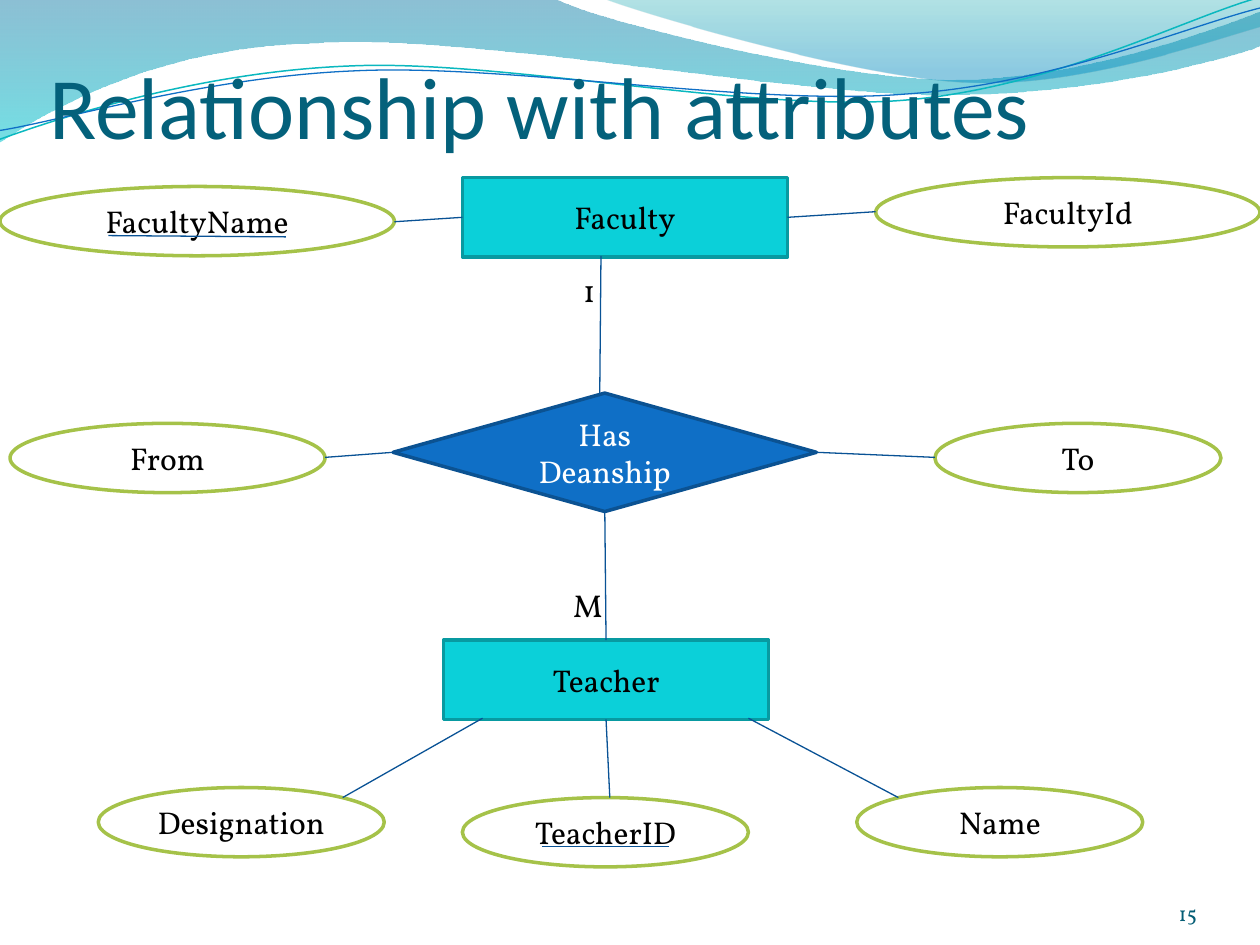
from math import cos, radians, sin

from lxml import etree
from pptx import Presentation
from pptx.dml.color import RGBColor
from pptx.enum.shapes import MSO_CONNECTOR as LINE, MSO_SHAPE as SHAPE
from pptx.enum.text import MSO_ANCHOR as ANCHOR, PP_ALIGN as ALIGN
from pptx.oxml.ns import qn
from pptx.util import Inches, Pt

HEX = {"ink": "000000", "white": "FFFFFF", "title": "04617B", "page": "045D75",
       "aqua": "0BD0D9", "teal": "089AA1", "blue": "0F6FC6", "navy": "0B5292",
       "green": "A5C249", "link": "095295", "cyan": "0AB8BF",
       "deep": "0074A1", "turq": "00C6CF", "sea": "00A1A9", "sky": "008BBF"}
RGB = {name: RGBColor.from_string(code) for name, code in HEX.items()}

deck = Presentation()
deck.slide_width, deck.slide_height = Inches(10), Inches(7.5)
slide = deck.slides.add_slide(deck.slide_layouts[6])
shapes = slide.shapes


def trace(start, steps, closed, pivot=(0, 0), tilt=0):
    """Draw a freeform; a step of 2 numbers is a line, of 6 a Bézier curve.

    The outline is turned level about the pivot, then the shape is tilted back.
    """
    c, s = cos(radians(tilt)), sin(radians(tilt))
    flat = [*start, *(num for step in steps for num in step)]
    pts = []
    for x, y in zip(flat[::2], flat[1::2]):
        dx, dy = x - pivot[0], y - pivot[1]
        pts.append((round(100 * (pivot[0] + dx * c + dy * s)),
                    round(100 * (pivot[1] - dx * s + dy * c))))
    form = shapes.build_freeform(*pts[0], scale=Inches(0.01))
    form.add_line_segments(pts[1:], close=closed)
    shape = form.convert_to_shape()
    shape.shadow.inherit = False
    shape.rotation = tilt
    lines = iter(list(shape.element.spPr.iter(qn("a:lnTo"))))
    for step in steps:
        group = [next(lines) for _ in step[::2]]
        if len(group) == 3:
            curve = etree.Element(qn("a:cubicBezTo"))
            group[0].addprevious(curve)
            for line in group:
                curve.append(line[0])
                line.getparent().remove(line)
    return shape


def write(shape, text, size=18, color="ink", font="Vollkorn", align=ALIGN.CENTER):
    para = shape.text_frame.paragraphs[0]
    para.alignment = align
    run = para.add_run()
    run.text = text
    run.font.size, run.font.name = Pt(size), font
    run.font.color.rgb = RGB[color]


# Waves along the top: start, steps, gradient stops (place, colour, opacity)
waves = [
    ((0, 0), [(4.4, -0.01), (4.76, 0.17, 6.64, 0.63, 7.58, 0.63),
              (8.53, 0.63, 9.58, 0.26, 10, 0.09), (10.01, 0.36),
              (9.83, 0.44, 8.7, 0.76, 7.46, 0.75),
              (6.22, 0.75, 3.82, 0.28, 2.57, 0.34),
              (1.29, 0.36, 0.46, 0.83, -0.01, 1.13), (0, 0)],
     [(0, "deep", 45), (1, "turq", 55)]),
    ((4.79, -0.01), [(5.09, 0.11, 6.82, 0.62, 7.69, 0.65),
                     (8.56, 0.69, 9.61, 0.32, 10, 0.21), (10, 0), (4.79, -0.01)],
     [(0, "sea", 30), (0.8, "sky", 45)]),
]
for start, steps, stops in waves:
    wave = trace(start, steps, True)
    wave.line.fill.background()
    wave.fill.gradient()
    wave.fill.gradient_angle = 270
    for stop, (place, color, _) in zip(wave.fill.gradient_stops, stops):
        stop.position, stop.color.rgb = place, RGB[color]
    tints = wave.element.spPr.find(qn("a:gradFill")).iter(qn("a:srgbClr"))
    for tint, (_, _, alpha) in zip(list(tints), stops):
        etree.SubElement(tint, qn("a:alpha")).set("val", str(alpha * 1000))

strands = [
    ((0, 1.11), [(0.48, 0.93, 1.58, 0.57, 2.77, 0.52),
                 (3.95, 0.47, 5.93, 0.89, 7.13, 0.8),
                 (8.33, 0.71, 9.38, 0.15, 9.98, -0.02)],
     (4.99, 0.58), "cyan", 0.85),
    ((0, 1.04), [(0.47, 0.96, 1.64, 0.61, 2.83, 0.56),
                 (4.03, 0.51, 5.97, 0.84, 7.17, 0.75),
                 (8.36, 0.67, 9.41, 0.21, 10, 0.06)],
     (5, 0.59), "blue", 0.75),
]
for start, steps, pivot, color, width in strands:
    strand = trace(start, steps, False, pivot, 357.3)
    strand.fill.background()
    strand.line.color.rgb, strand.line.width = RGB[color], Pt(width)

# Title and page number
notes = [
    ("Relationship with attributes", (0.39, 0.23, 9, 1.02), 0.05,
     50, "title", "Calibri", ALIGN.LEFT),
    ("15", (8.67, 6.95, 0.83, 0.4), 0, 12, "page", "Vollkorn", ALIGN.RIGHT),
]
for text, box, top, *look in notes:
    note = shapes.add_textbox(*map(Inches, box))
    frame = note.text_frame
    frame.word_wrap, frame.vertical_anchor = True, ANCHOR.BOTTOM
    frame.margin_left = frame.margin_right = frame.margin_bottom = 0
    frame.margin_top = Inches(top)
    write(note, text, *look)

# Entities, relationship and attributes
styles = {"entity": (SHAPE.RECTANGLE, "aqua", "teal", "ink"),
          "relation": (SHAPE.DIAMOND, "blue", "navy", "white"),
          "attribute": (SHAPE.OVAL, "white", "green", "ink")}
nodes = [
    ("Teacher", "entity", 3.52, 5.08, 2.58, 0.63),
    ("Has Deanship", "relation", 3.12, 3.12, 3.36, 0.94),
    ("To", "attribute", 7.42, 3.36, 2.27, 0.55),
    ("From", "attribute", 0.08, 3.36, 2.5, 0.55),
    ("Designation", "attribute", 0.78, 6.25, 2.27, 0.55),
    ("TeacherID", "attribute", 3.67, 6.33, 2.27, 0.55),
    ("Name", "attribute", 6.8, 6.25, 2.27, 0.55),
    ("Faculty", "entity", 3.67, 1.41, 2.58, 0.63),
    ("FacultyName", "attribute", 0, 1.48, 3.13, 0.55),
    ("FacultyId", "attribute", 6.95, 1.41, 3.05, 0.55),
]
made = {}
for name, kind, *box in nodes:
    form, fill, edge, ink = styles[kind]
    node = made[name] = shapes.add_shape(form, *map(Inches, box))
    node.shadow.inherit = False
    node.fill.solid()
    node.fill.fore_color.rgb = RGB[fill]
    node.line.color.rgb, node.line.width = RGB[edge], Pt(2)
    node.text_frame.word_wrap = True
    node.text_frame.vertical_anchor = ANCHOR.MIDDLE
    write(node, name, color=ink)

# Links and key underlines: ends, then the joined node and side at each end
links = [
    (4.8, 5.08, 4.81, 4.06, ("Teacher", 0), ("Has Deanship", 2)),
    (6.48, 3.59, 7.42, 3.63, ("Has Deanship", 3), None),
    (3.12, 3.59, 2.58, 3.63, ("Has Deanship", 1), None),
    (5.31, 6.72, 4.3, 6.72, None, None),
    (3.83, 5.7, 2.72, 6.33, None, None),
    (4.8, 5.7, 4.84, 6.33, ("Teacher", 2), None),
    (5.94, 5.7, 7.13, 6.33, None, None),
    (3.13, 1.76, 3.67, 1.72, None, ("Faculty", 1)),
    (4.76, 3.13, 4.77, 2.03, None, None),
    (0.86, 1.87, 2.27, 1.88, None, None),
    (6.25, 1.72, 6.95, 1.68, ("Faculty", 3), None),
]
for *ends, head, tail in links:
    link = shapes.add_connector(LINE.STRAIGHT, *map(Inches, ends))
    link.line.color.rgb, link.line.width = RGB["link"], Pt(0.75)
    etree.SubElement(link.element.spPr, qn("a:effectLst"))
    if head:
        link.begin_connect(made[head[0]], head[1])
    if tail:
        link.end_connect(made[tail[0]], tail[1])

# Cardinalities
for text, *box in [("1", 4.53, 2.1, 0.28, 0.4), ("M", 4.45, 4.6, 0.43, 0.4)]:
    label = shapes.add_textbox(*map(Inches, box))
    label.text_frame.word_wrap = False
    write(label, text, align=ALIGN.LEFT)

deck.save("out.pptx")
